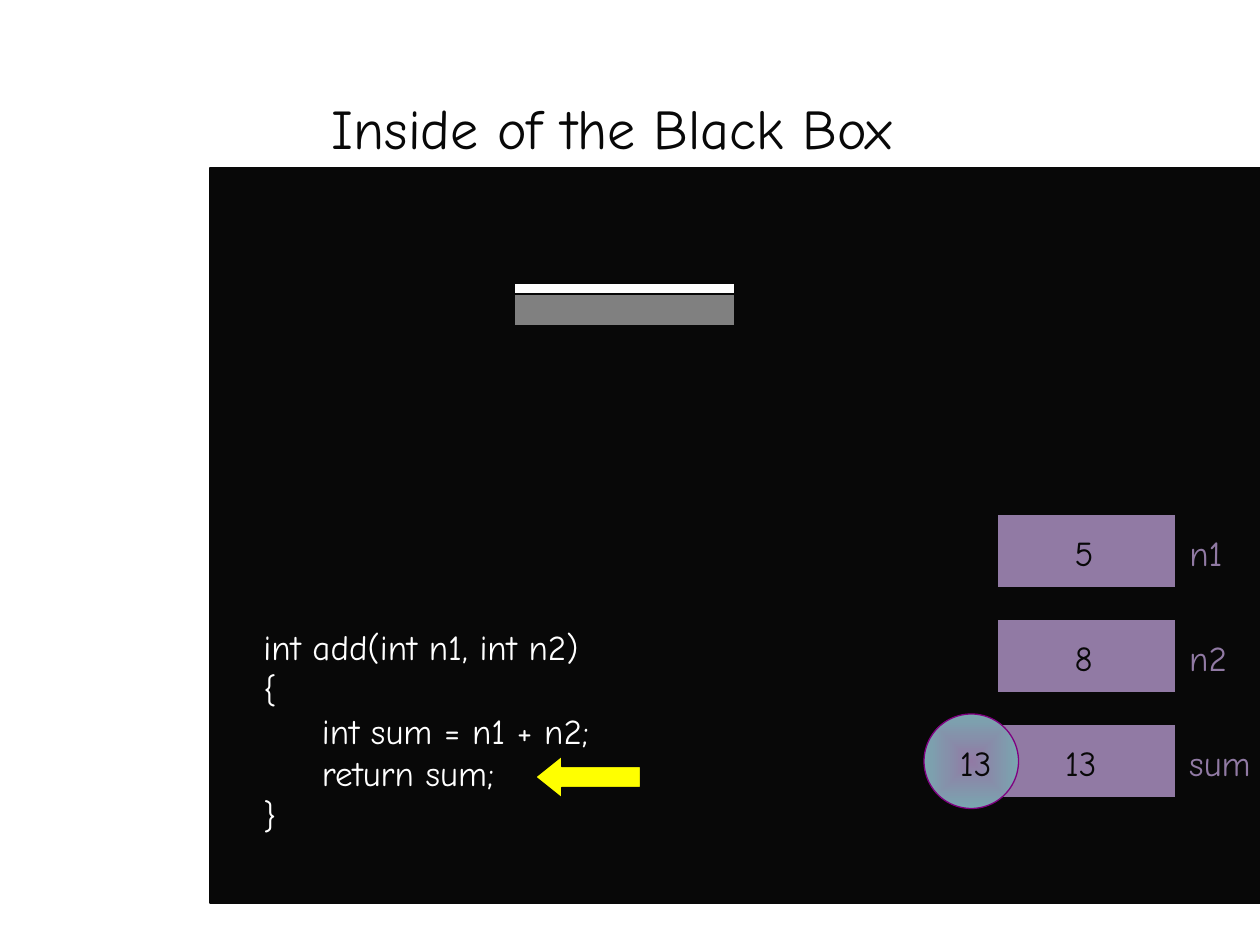
"""Build the slide that shows the inside of the add() black box."""
from lxml import etree
from pptx import Presentation
from pptx.dml.color import RGBColor
from pptx.enum.shapes import MSO_SHAPE
from pptx.enum.text import MSO_ANCHOR, MSO_AUTO_SIZE, PP_ALIGN
from pptx.oxml.ns import qn
from pptx.util import Pt

RECT, OVAL, LEFT_ARROW = MSO_SHAPE.RECTANGLE, MSO_SHAPE.OVAL, MSO_SHAPE.LEFT_ARROW
TOP, LEFT, FIXED = MSO_ANCHOR.TOP, PP_ALIGN.LEFT, MSO_AUTO_SIZE.NONE

THEME = {
    "font": "Comic Neue", "title": 32, "body": 20, "line": 0.75,
    "black": "080808", "white": "FFFFFF", "grey": "808080", "yellow": "FFFF00",
    "purple": "917AA4", "teal": "7AA6B0", "violet": "800080",
}


def color(name):
    return RGBColor.from_string(THEME[name])


def write(holder, text, ink, size="body"):
    frame = holder.text_frame
    frame.text = text
    frame.word_wrap = True
    frame.auto_size = FIXED
    frame.vertical_anchor = TOP
    frame.margin_left = frame.margin_right = Pt(7.2)
    frame.margin_top = frame.margin_bottom = Pt(3.6)
    for paragraph in frame.paragraphs:
        paragraph.alignment = LEFT
        paragraph.line_spacing = 1
        paragraph.space_before = Pt(0)
        for run in paragraph.runs:
            run.font.name = THEME["font"]
            run.font.size = Pt(THEME[size])
            run.font.color.rgb = color(ink)


prs = Presentation()
prs.slide_width, prs.slide_height = Pt(720), Pt(540)
slide = prs.slides.add_slide(prs.slide_layouts[5])
shapes = slide.shapes

title = shapes.title
title.left, title.top, title.width, title.height = Pt(182.5), Pt(49.7), Pt(342), Pt(46)
write(title, "Inside of the Black Box", "black", "title")

variables = [
    ("n1", 37, "5", 607, 28),
    ("n2", 39, "8", 607, 28),
    ("sum", 52, "13", 601.6, 36),
]
first_row, row_pitch = 294, 60

blocks = [
    (RECT, 120, 96, 600, 420, "black"),
    (RECT, 294, 162, 126, 24, "grey"),
    (RECT, 294, 162, 126, 6, "white"),
    (RECT, 306, 138, 96, 24, "black"),
    (LEFT_ARROW, 306, 432, 60, 24, "yellow"),
]
blocks += [(RECT, 570, first_row + row * row_pitch, 102, 42, "purple")
           for row in range(len(variables))]
for kind, left, top, width, height, fill in blocks:
    block = shapes.add_shape(kind, Pt(left), Pt(top), Pt(width), Pt(height))
    block.shadow.inherit = False
    block.fill.solid()
    block.fill.fore_color.rgb = color(fill)
    block.line.color.rgb = color("black")
    block.line.width = Pt(THEME["line"])
    if kind == LEFT_ARROW:
        block.adjustments[0], block.adjustments[1] = 0.5, 0.625

code = shapes.add_textbox(Pt(143.5), Pt(354), Pt(210), Pt(127.5))
write(code, "int add(int n1, int n2)\n{\n     int sum = n1 + n2;\n     return sum;\n}", "white")

for row, (name, name_width, value, value_left, value_width) in enumerate(variables):
    top = first_row + 6 + row * row_pitch
    label = shapes.add_textbox(Pt(672.5), Pt(top), Pt(name_width), Pt(31.5))
    write(label, name, "purple")
    content = shapes.add_textbox(Pt(value_left), Pt(top), Pt(value_width), Pt(31.5))
    write(content, value, "black")

returned = shapes.add_group_shape()
ball = returned.shapes.add_shape(OVAL, Pt(528), Pt(408), Pt(54), Pt(54))
ball.shadow.inherit = False
ball.line.color.rgb = color("violet")
ball.line.width = Pt(THEME["line"])
ball.fill.gradient()
for stop, tint in zip(ball.fill.gradient_stops, ("purple", "teal")):
    stop.color.rgb = color(tint)
gradient = ball.element.spPr.find(qn("a:gradFill"))
gradient.remove(gradient.find(qn("a:lin")))
spread = etree.SubElement(gradient, qn("a:path"), {"path": "rect"})
etree.SubElement(spread, qn("a:fillToRect"), dict.fromkeys("ltrb", "50000"))
result = returned.shapes.add_textbox(Pt(541.5), Pt(420), Pt(36), Pt(31.5))
write(result, "13", "black")

prs.save("out.pptx")
